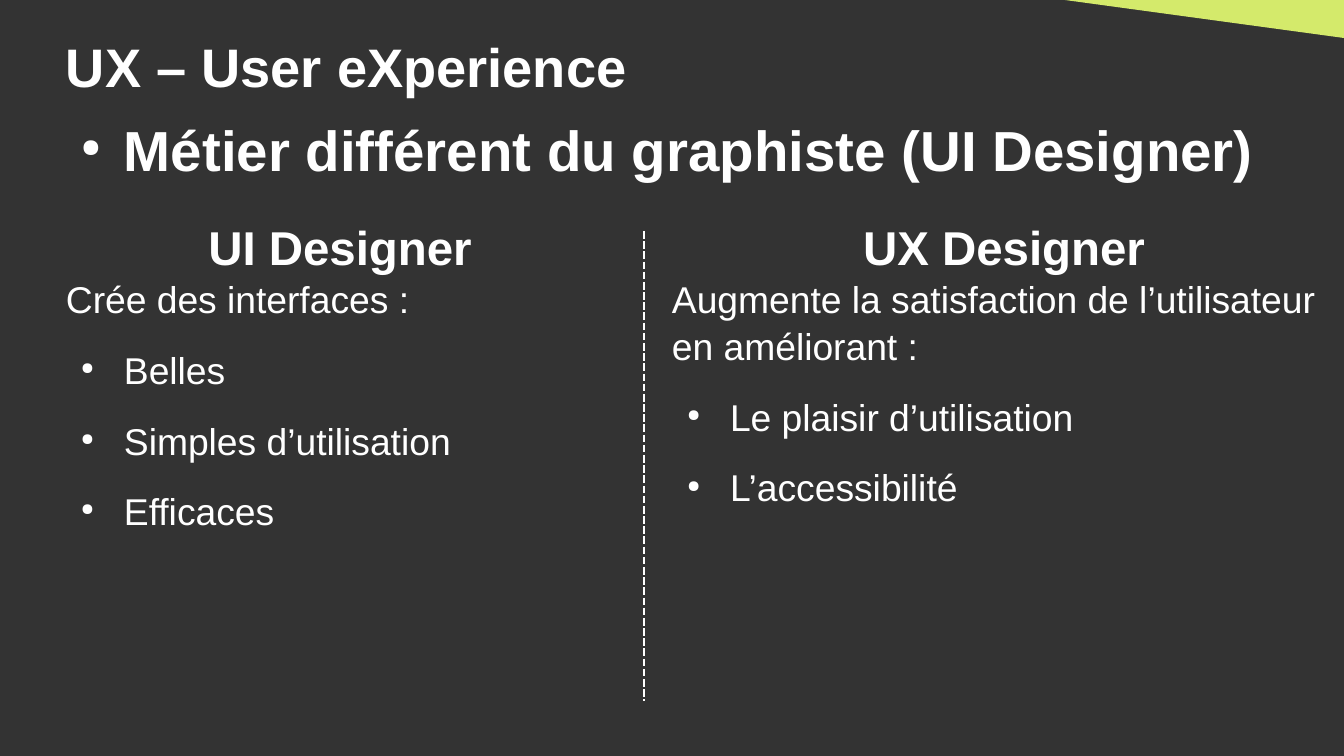
from lxml import etree
from pptx import Presentation
from pptx import util as u
from pptx.dml.color import RGBColor
from pptx.enum import dml, shapes, text
from pptx.oxml.ns import qn

SCALE = 914400 / 122


def px(length):
    return u.Emu(round(length * SCALE))


def colour(value):
    return RGBColor.from_string(value)


class Deck:
    """Holds the style and the current slide and draws each kind of element."""

    FONT, INK, GROUND, ACCENT = "Arial", "FFFFFF", "333333", "D4EA6B"
    LEADING, GAP, INDENT, HANG = 1.05, 14.1, 58, 43

    def __init__(self, width, height):
        self.deck = Presentation()
        self.deck.slide_width, self.deck.slide_height = px(width), px(height)
        self.slide = self.deck.slides.add_slide(self.deck.slide_layouts[6])
        ground = self.slide.background.fill
        ground.solid()
        ground.fore_color.rgb = colour(self.GROUND)

    def corner(self, left, top, width, height):
        wedge = self.slide.shapes.add_shape(
            shapes.MSO_SHAPE.RIGHT_TRIANGLE, px(left), px(top), px(width), px(height))
        wedge.rotation = 180
        wedge.shadow.inherit = False
        wedge.fill.solid()
        wedge.fill.fore_color.rgb = colour(self.ACCENT)
        wedge.line.fill.background()

    def divider(self, x, top, bottom):
        rule = self.slide.shapes.add_connector(
            shapes.MSO_CONNECTOR.STRAIGHT, px(x), px(top), px(x), px(bottom))
        rule.line.color.rgb = colour(self.INK)
        rule.line.width = u.Pt(1.5)
        rule.line.dash_style = dml.MSO_LINE.SQUARE_DOT
        etree.SubElement(rule._element.spPr, qn("a:effectLst"))

    def frame(self, left, top, width, height):
        frame = self.slide.shapes.add_textbox(
            px(left), px(top), px(width), px(height)).text_frame
        frame.word_wrap = True
        frame.margin_left = frame.margin_top = frame.margin_right = frame.margin_bottom = 0
        return frame

    def style(self, paragraph, size, bold):
        for run in paragraph.runs:
            run.font.name, run.font.size, run.font.bold = self.FONT, u.Pt(size), bold
            run.font.color.rgb = colour(self.INK)

    def bullet(self, paragraph):
        props = paragraph._p.get_or_add_pPr()
        props.set("marL", str(px(self.INDENT)))
        props.set("indent", str(-px(self.HANG)))
        tint = etree.SubElement(props, qn("a:buClr"))
        etree.SubElement(tint, qn("a:srgbClr"), val=self.INK)
        etree.SubElement(props, qn("a:buSzPct"), val="45000")
        etree.SubElement(props, qn("a:buChar"), char="●")

    def heading(self, words, left, top, width, size, align=text.PP_ALIGN.LEFT):
        frame = self.frame(left, top, width, 62)
        frame.vertical_anchor = text.MSO_ANCHOR.MIDDLE
        frame.text = words
        frame.paragraphs[0].alignment = align
        self.style(frame.paragraphs[0], size, True)

    def body(self, box, points, size, intro=None, bold=False):
        frame = self.frame(*box)
        lines = ([intro] if intro else []) + points
        frame.text = "\n".join(lines)
        for index, paragraph in enumerate(frame.paragraphs):
            paragraph.line_spacing = self.LEADING
            if index:
                paragraph.space_before = u.Pt(self.GAP)
            if index or not intro:
                self.bullet(paragraph)
            self.style(paragraph, size, bold)

    def column(self, title, title_left, left, width, intro, points):
        self.heading(title, title_left, 216, 566, 28, text.PP_ALIGN.CENTER)
        self.body((left, 274, width, 322), points, 22, intro)


def main():
    ux = Deck(1344, 756)
    ux.heading("UX – User eXperience", 66, 35, 1210, 32)
    ux.body((66, 112, 1252, 72), ["Métier différent du graphiste (UI Designer)"], 33.3, bold=True)
    ux.corner(1065, 0, 279, 38)
    ux.divider(644, 231, 701)
    ux.column("UI Designer", 57, 66, 559, "Crée des interfaces :",
              ["Belles", "Simples d’utilisation", "Efficaces"])
    ux.column("UX Designer", 721, 672, 672,
              "Augmente la satisfaction de l’utilisateur en améliorant :",
              ["Le plaisir d’utilisation", "L’accessibilité"])
    ux.deck.save("out.pptx")


if __name__ == "__main__":
    main()
